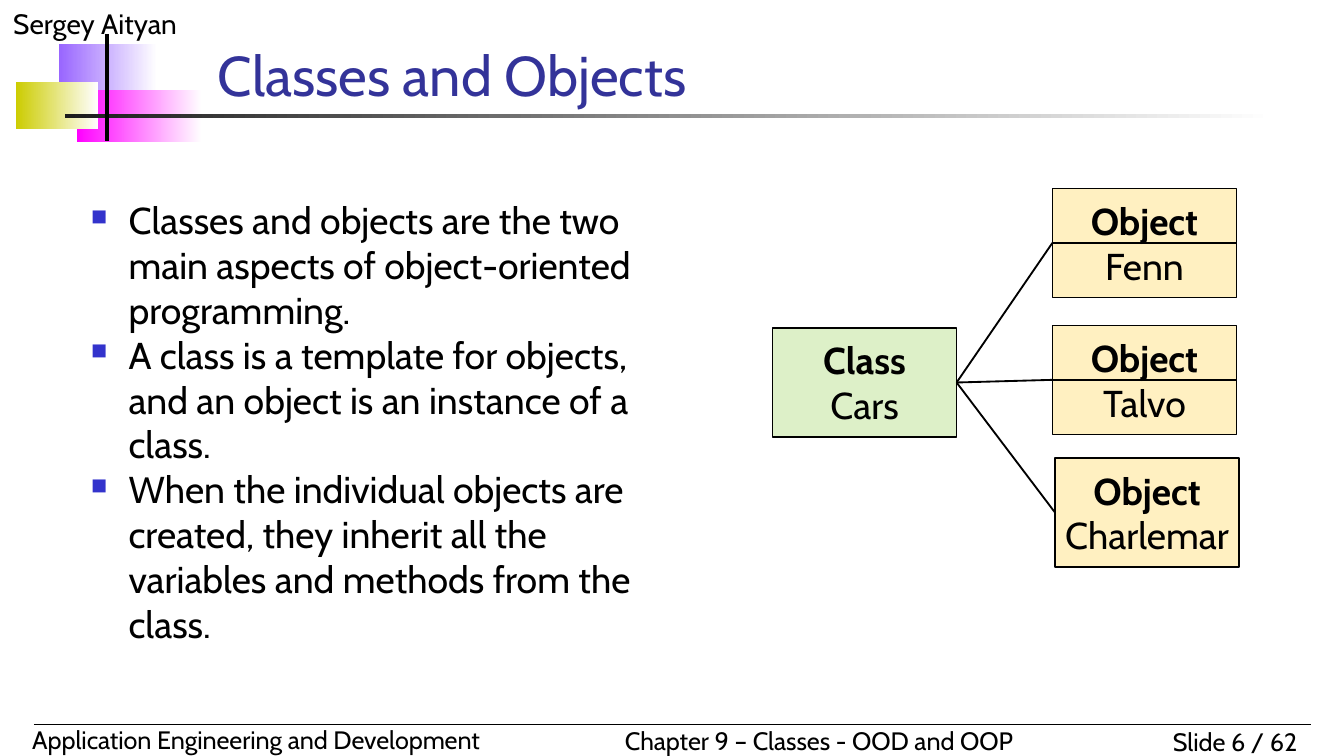
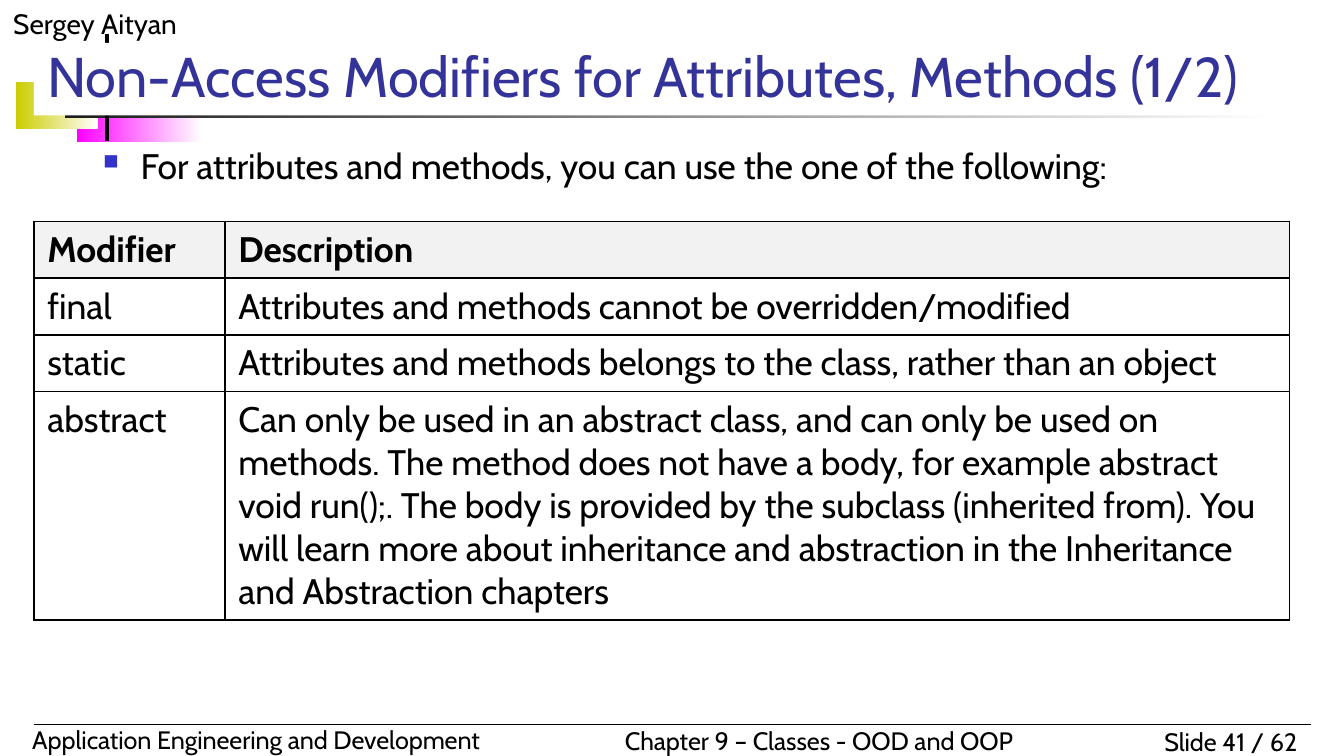
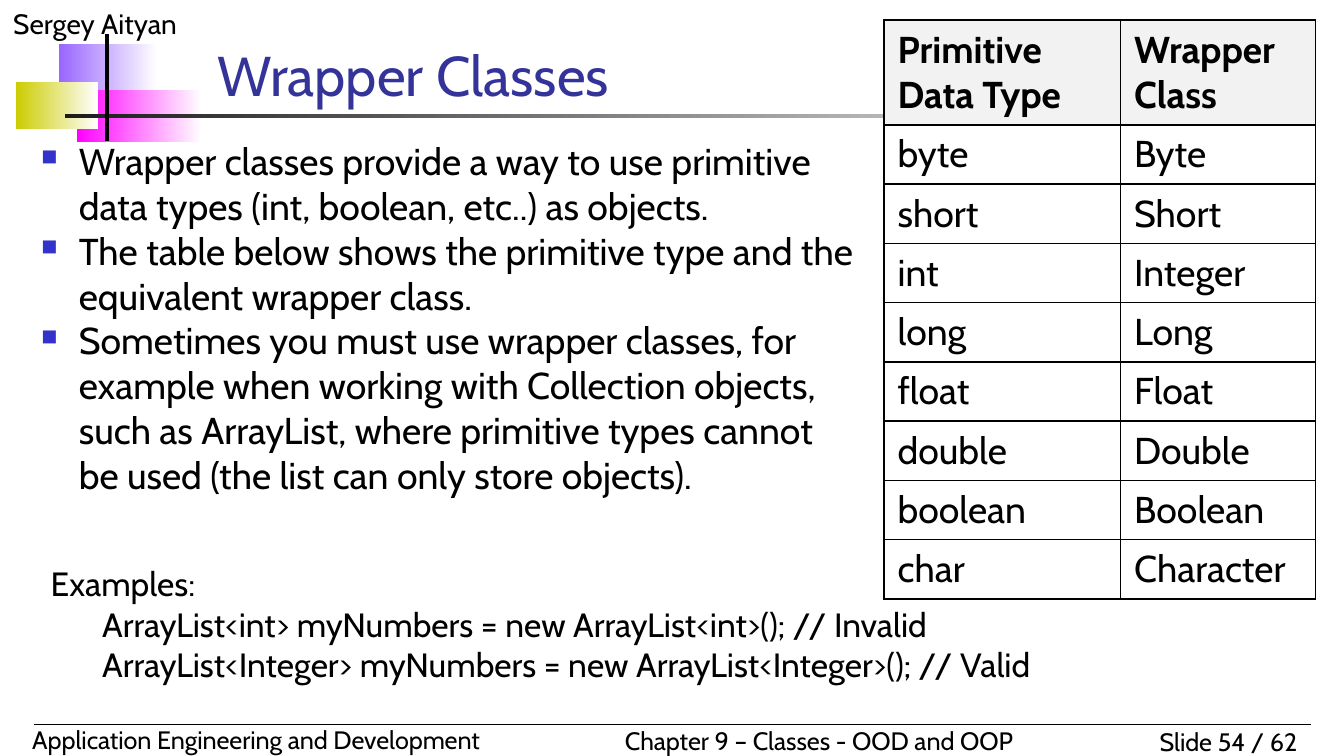
from lxml import etree
from pptx import Presentation
from pptx.dml.color import RGBColor
from pptx.enum.shapes import MSO_CONNECTOR, MSO_SHAPE
from pptx.enum.text import MSO_ANCHOR, MSO_AUTO_SIZE, PP_ALIGN
from pptx.oxml import parse_xml
from pptx.oxml.ns import nsdecls, qn
from pptx.util import Cm, Pt

RECT = MSO_SHAPE.RECTANGLE
STRAIGHT = MSO_CONNECTOR.STRAIGHT
LEFT, CENTER, RIGHT = PP_ALIGN.LEFT, PP_ALIGN.CENTER, PP_ALIGN.RIGHT
TOP, MIDDLE, BOTTOM = MSO_ANCHOR.TOP, MSO_ANCHOR.MIDDLE, MSO_ANCHOR.BOTTOM

FONT = "Cabin"
BLACK = RGBColor(0x00, 0x00, 0x00)
WHITE = RGBColor(0xFF, 0xFF, 0xFF)
CHARCOAL = RGBColor(0x1C, 0x1C, 0x1C)
VIOLET = RGBColor(0x99, 0x66, 0xFF)
MAGENTA = RGBColor(0xFF, 0x00, 0xFF)
OLIVE = RGBColor(0xCC, 0xCC, 0x00)
TITLE_BLUE = RGBColor(0x33, 0x33, 0x99)
BULLET_BLUE = RGBColor(0x33, 0x33, 0xCC)
CLASS_GREEN = RGBColor(0xDD, 0xF0, 0xC8)
OBJECT_YELLOW = RGBColor(0xFF, 0xF0, 0xC1)
HEADER_GRAY = RGBColor(0xF2, 0xF2, 0xF2)


def write(tf, lines, size, color=BLACK, align=LEFT, bold_first=False):
    """Fill a text frame with one paragraph per line."""
    tf.word_wrap = True
    for i, line in enumerate(lines):
        p = tf.add_paragraph() if i else tf.paragraphs[0]
        p.text = line
        p.alignment = align
        p.font.name = FONT
        p.font.size = Pt(size)
        p.font.color.rgb = color
        p.font.bold = bold_first and i == 0


def draw_line(s, x1, y1, x2, y2, width):
    line = s.shapes.add_connector(STRAIGHT, Cm(x1), Cm(y1), Cm(x2), Cm(y2))
    line.line.color.rgb = BLACK
    line.line.width = Pt(width)
    etree.SubElement(line.element.spPr, qn("a:effectLst"))


prs = Presentation()
prs.slide_width, prs.slide_height = Cm(25.4), Cm(14.29)

# Shared parts: gradient bands, header, footer and title
bands = [
    (VIOLET, 1.12, 0.84, 1.85, 0.99),
    (MAGENTA, 1.45, 1.7, 2.36, 0.99),
    (OLIVE, 0.3, 1.55, 1.55, 0.89),
    (CHARCOAL, 1.22, 2.16, 22.86, 0.07),
]
narrow_title = (3.86, 0.79, 18.67, 1.37)
wide_title = (0.64, 0.81, 24.51, 1.37)
pages = [
    ("Classes and Objects", 6, narrow_title),
    ("Non-Access Modifiers for Attributes, Methods (1/2)", 41, wide_title),
    ("Wrapper Classes", 54, narrow_title),
]
for heading, number, title_box in pages:
    s = prs.slides.add_slide(prs.slide_layouts[5])
    for color, *box in bands:
        sp = s.shapes.add_shape(RECT, *map(Cm, box))
        sp.shadow.inherit = False
        sp.line.fill.background()
        sp.fill.gradient()
        sp.fill.gradient_angle = 0
        for stop, stop_color in zip(sp.fill.gradient_stops, (color, WHITE)):
            stop.color.rgb = stop_color

    for text, size, align, *box in [
        ("Sergey Aityan", 15, LEFT, 0, 0, 6.35, 0.89),
        (f"Slide {number} / 62", 13.5, RIGHT, 20.96, 13.61, 3.81, 0.84),
        ("Application Engineering and Development", 13.5, LEFT, 0.36, 13.56, 9.4, 0.84),
        ("Chapter 9 – Classes - OOD and OOP", 13.5, LEFT, 11.56, 13.59, 8.23, 0.84),
    ]:
        sp = s.shapes.add_textbox(*map(Cm, box))
        write(sp.text_frame, [text], size, align=align)

    draw_line(s, 0.64, 13.69, 24.77, 13.69, 0.75)
    draw_line(s, 2.03, 0.64, 2.03, 2.67, 2)

    title = s.shapes.title
    s.shapes.element.append(title.element)  # in front of the bands
    title.left, title.top, title.width, title.height = map(Cm, title_box)
    tf = title.text_frame
    tf.auto_size = MSO_AUTO_SIZE.NONE
    tf.vertical_anchor = BOTTOM
    write(tf, [heading], 30, TITLE_BLUE)
    if title_box == wide_title:
        title.fill.solid()
        title.fill.fore_color.rgb = WHITE

objects_slide, modifiers_slide, wrappers_slide = prs.slides

# Bulleted text
bullet_lists = [
    (objects_slide, 20, (1.47, 3.61, 11.66, 6.2), [
        "Classes and objects are the two main aspects of object-oriented programming.",
        "A class is a template for objects, and an object is an instance of a class.",
        "When the individual objects are created, they inherit all the variables "
        "and methods from the class.",
    ]),
    (modifiers_slide, 19, (1.7, 2.59, 23.7, 1.37), [
        "For attributes and methods, you can use the one of the following:",
    ]),
    (wrappers_slide, 20, (0.53, 2.49, 15.98, 5.92), [
        "Wrapper classes provide a way to use primitive data types "
        "(int, boolean, etc..) as objects.",
        "The table below shows the primitive type and the equivalent wrapper class.",
        "Sometimes you must use wrapper classes, for example when working with "
        "Collection objects, such as ArrayList, where primitive types cannot be used "
        "(the list can only store objects).",
    ]),
]
bullet_parts = [
    f'<a:buClr {nsdecls("a")}><a:srgbClr val="{BULLET_BLUE}"/></a:buClr>',
    f'<a:buSzPct {nsdecls("a")} val="60000"/>',
    f'<a:buChar {nsdecls("a")} char="■"/>',
]
for s, size, box, lines in bullet_lists:
    tf = s.shapes.add_textbox(*map(Cm, box)).text_frame
    write(tf, lines, size)
    for p in tf.paragraphs:
        pPr = p._p.get_or_add_pPr()
        pPr.set("marL", str(int(Cm(0.71))))
        pPr.set("indent", str(int(Cm(-0.71))))
        for i, part in enumerate(bullet_parts):
            pPr.insert(i, parse_xml(part))

# Class and its objects
box_w, box_h = 3.48, 2.06
class_x, class_y = 14.6, 6.2
boxes = [
    ("Class", "Cars", class_x, class_y, CLASS_GREEN, False),
    ("Object", "Fenn", 19.89, 3.56, OBJECT_YELLOW, True),
    ("Object", "Talvo", 19.89, 6.15, OBJECT_YELLOW, True),
    ("Object", "Charlemar", 19.94, 8.66, OBJECT_YELLOW, False),
]
for kind, name, x, y, color, divided in boxes:
    sp = objects_slide.shapes.add_shape(RECT, Cm(x), Cm(y), Cm(box_w), Cm(box_h))
    sp.shadow.inherit = False
    sp.fill.solid()
    sp.fill.fore_color.rgb = color
    sp.line.color.rgb = BLACK
    sp.line.width = Pt(0.75)
    write(sp.text_frame, [kind, name], 20, align=CENTER, bold_first=True)
    sp.text_frame.word_wrap = False
    middle = y + box_h / 2
    if divided:
        draw_line(objects_slide, x, middle, x + box_w, middle, 1)
    if kind == "Object":
        draw_line(objects_slide, class_x + box_w, class_y + box_h / 2, x, middle, 1)

# Tables
modifiers = [
    ("Modifier", "Description"),
    ("final", "Attributes and methods cannot be overridden/modified"),
    ("static", "Attributes and methods belongs to the class, rather than an object"),
    ("abstract",
     "Can only be used in an abstract class, and can only be used on methods. "
     "The method does not have a body, for example abstract void run();. "
     "The body is provided by the subclass (inherited from). You will learn more about "
     "inheritance and abstraction in the Inheritance and Abstraction chapters"),
]
wrappers = [
    ("Primitive Data Type", "Wrapper Class"),
    ("byte", "Byte"),
    ("short", "Short"),
    ("int", "Integer"),
    ("long", "Long"),
    ("float", "Float"),
    ("double", "Double"),
    ("boolean", "Boolean"),
    ("char", "Character"),
]
tables = [
    (modifiers_slide, modifiers, 19, TOP, 0.64, 4.19, [3.61, 20.12], [1.07] * 3 + [4.32]),
    (wrappers_slide, wrappers, 20, MIDDLE, 16.71, 0.38, [4.47, 3.68], [1.98] + [1.12] * 8),
]
for s, rows, size, anchor, x, y, widths, heights in tables:
    table = s.shapes.add_table(len(rows), len(widths), Cm(x), Cm(y),
                               Cm(sum(widths)), Cm(sum(heights))).table
    table.first_row = table.horz_banding = False
    for column, width in zip(table.columns, widths):
        column.width = Cm(width)
    for i, (row, height, texts) in enumerate(zip(table.rows, heights, rows)):
        row.height = Cm(height)
        for cell, text in zip(row.cells, texts):
            write(cell.text_frame, [text], size, bold_first=i == 0)
            cell.vertical_anchor = anchor
            tcPr = cell._tc.get_or_add_tcPr()
            for side in ("lnL", "lnR", "lnT", "lnB"):
                tcPr.append(parse_xml(
                    f'<a:{side} {nsdecls("a")} w="{int(Pt(1))}"><a:solidFill>'
                    f'<a:srgbClr val="{BLACK}"/></a:solidFill></a:{side}>'))
            if i == 0:
                cell.fill.solid()
                cell.fill.fore_color.rgb = HEADER_GRAY
            else:
                cell.fill.background()

# Code examples
tf = wrappers_slide.shapes.add_textbox(Cm(0.71), Cm(10.52), Cm(21.84), Cm(2.57)).text_frame
write(tf, [
    "Examples:",
    "ArrayList<int> myNumbers = new ArrayList<int>(); // Invalid",
    "ArrayList<Integer> myNumbers = new ArrayList<Integer>(); // Valid",
], 18)
for p in tf.paragraphs[1:]:
    p.level = 1
    pPr = p._p.get_or_add_pPr()
    pPr.set("marL", str(int(Cm(0.97))))
    pPr.set("indent", "0")

prs.save("out.pptx")
